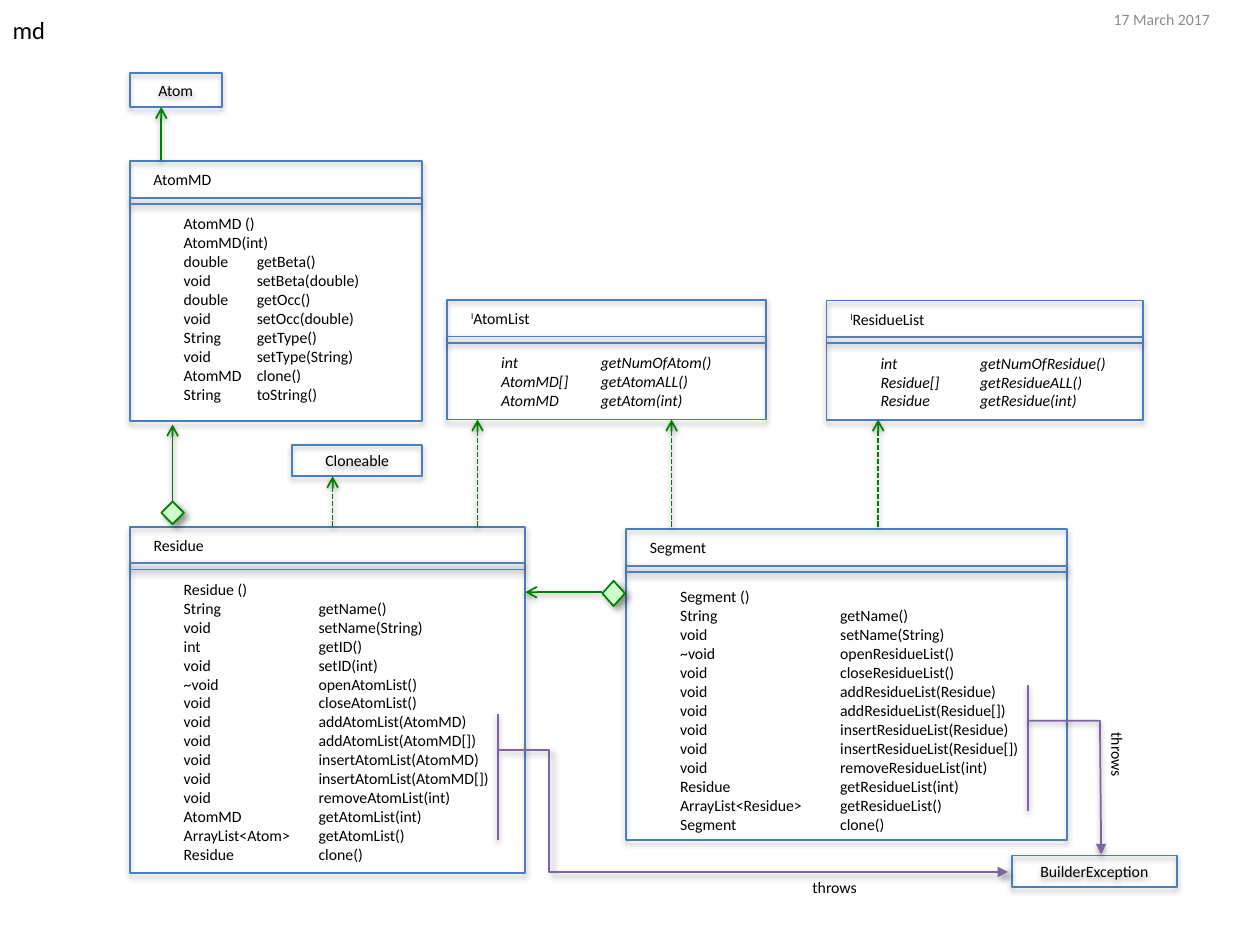
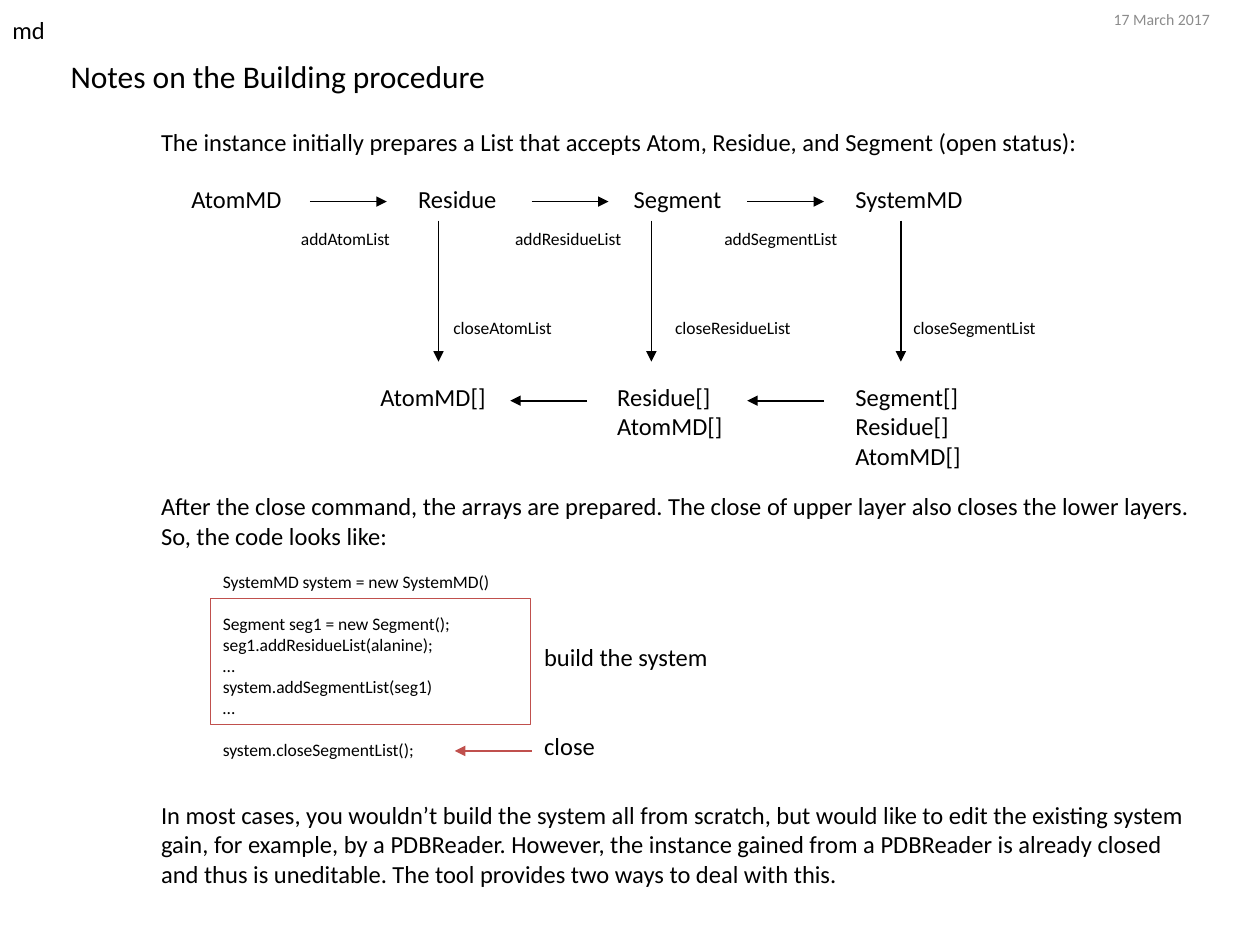
from lxml import etree
from pptx import Presentation
from pptx.dml.color import RGBColor
from pptx.enum.dml import MSO_LINE
from pptx.enum.shapes import MSO_CONNECTOR, MSO_SHAPE
from pptx.enum.text import MSO_ANCHOR, MSO_AUTO_SIZE, PP_ALIGN
from pptx.oxml.ns import qn
from pptx.util import Inches, Pt

RECT, DIAMOND = MSO_SHAPE.RECTANGLE, MSO_SHAPE.DIAMOND
STRAIGHT = MSO_CONNECTOR.STRAIGHT
DASH = MSO_LINE.SQUARE_DOT
TOP, MIDDLE = MSO_ANCHOR.TOP, MSO_ANCHOR.MIDDLE
LEFT, CENTER = PP_ALIGN.LEFT, PP_ALIGN.CENTER
FIXED = MSO_AUTO_SIZE.NONE

COLORS = {
    "text": "000000", "date": "8C8C8C", "frame": "4B7EBC", "rule": "4F81BD",
    "green": "008000", "mint": "CCFFCC", "violet": "8064A2", "red": "C0504D",
}
FONT = "Calibri"
# Opacity in percent, blur and distance in points, angle in degrees
SHADOWS = {
    "box": (35, 3.15, 1.8, 90),
    "line": (38, 3.15, 1.6, 90),
    "deep": (43, 4, 3, 45),
}


# Shared drawing tools
def color(name):
    return RGBColor.from_string(COLORS[name])


def shade(shape, kind=None):
    """Give the shape its own effect list, with a shadow if a kind is named."""
    props = shape.element.spPr
    for old in props.findall(qn("a:effectLst")):
        props.remove(old)
    effects = etree.SubElement(props, qn("a:effectLst"))
    if kind:
        alpha, blur, dist, angle = SHADOWS[kind]
        outer = etree.SubElement(
            effects, qn("a:outerShdw"), blurRad=str(Pt(blur)), dist=str(Pt(dist)),
            dir=str(angle * 60000), rotWithShape="0")
        black = etree.SubElement(outer, qn("a:srgbClr"), val="000000")
        etree.SubElement(black, qn("a:alpha"), val=str(alpha * 1000))


def stroke(shape, hue, width=1, dash=False, head=None):
    shape.line.color.rgb = color(hue)
    shape.line.width = Pt(width)
    if dash:
        shape.line.dash_style = DASH
    if head:
        line = shape.element.spPr.find(qn("a:ln"))
        etree.SubElement(line, qn("a:tailEnd"), type=head)


def style(frame, size, hue="text", italic=False):
    for para in frame.paragraphs:
        for run in para.runs:
            run.font.name = FONT
            run.font.size = Pt(size)
            run.font.italic = italic
            run.font.color.rgb = color(hue)


def place(shape, box):
    shape.left, shape.top, shape.width, shape.height = map(Inches, box)


def label(slide, text, box, size=14, hue="text", wrap=False, italic=False):
    shape = slide.shapes.add_textbox(*map(Inches, box))
    frame = shape.text_frame
    frame.word_wrap = wrap
    frame.text = text
    style(frame, size, hue, italic)
    return shape


def line(slide, start, end, hue, head=None, dash=False, shadow="line"):
    shape = slide.shapes.add_connector(STRAIGHT, *map(Inches, (*start, *end)))
    stroke(shape, hue, 1, dash, head)
    shade(shape, shadow)


def block(slide, kind, box, hue, fill=None, width=1, shadow="box"):
    shape = slide.shapes.add_shape(kind, *map(Inches, box))
    if fill:
        shape.fill.solid()
        shape.fill.fore_color.rgb = color(fill)
    else:
        shape.fill.background()
    stroke(shape, hue, width)
    shade(shape, shadow)
    return shape


def title(slide, text, box, size):
    shape = slide.shapes.title
    place(shape, box)
    frame = shape.text_frame
    frame.text = text
    frame.word_wrap = False
    frame.auto_size = FIXED
    frame.vertical_anchor = TOP
    frame.paragraphs[0].alignment = LEFT
    style(frame, size)


def date(slide):
    shape = label(slide, "17 March 2017", (8.74, 0.01, 1.26, 0.29), 9, "date", True)
    shape.text_frame.vertical_anchor = MIDDLE


# Class diagram parts
def node(slide, text, box):
    """Box with a centred name only."""
    frame = block(slide, RECT, box, "frame").text_frame
    frame.text = text
    frame.vertical_anchor = MIDDLE
    frame.paragraphs[0].alignment = CENTER
    style(frame, 9)


def entity(slide, box, name, width, rows, tab, gap=0.37, face=False):
    """Class box: name, double rule, members; face marks an interface."""
    x, y, w, h = box
    block(slide, RECT, box, "frame")
    for dy in (0.29, 0.34):
        line(slide, (x, y + dy), (x + w, y + dy), "rule")
    head = label(slide, "I" if face else name, (x + 0.09, y + 0.02, width, 0.25), 9)
    if face:
        frame = head.text_frame
        para = frame.paragraphs[0]
        para.runs[0].font.element.set("baseline", "30000") if hasattr(
            para.runs[0].font, "element") else para.runs[0]._r.get_or_add_rPr().set(
            "baseline", "30000")
        para.add_run().text = name
        style(frame, 9)
    text = "\n".join(rows)
    body = label(slide, text, (x + 0.33, y + gap, w - 0.33, 0.1 + 0.15 * len(rows)),
                 9, wrap=True, italic=face)
    for para in body.text_frame.paragraphs:
        tabs = etree.SubElement(para._p.get_or_add_pPr(), qn("a:tabLst"))
        etree.SubElement(tabs, qn("a:tab"), pos=str(Inches(tab)), algn="l")


def throws(slide, x, y, route, spot, shadow, turn=0):
    """Bracket beside the methods and a bent arrow that leaves it."""
    line(slide, (x, y), (x, y + 1), "violet")
    points = [(Inches(x + dx), Inches(y + dy)) for dx, dy in route]
    maker = slide.shapes.build_freeform(Inches(x), Inches(y + 0.28))
    maker.add_line_segments(points, close=False)
    path = maker.convert_to_shape()
    path.fill.background()
    stroke(path, "violet", head="triangle")
    shade(path, shadow)
    note = label(slide, "throws", (x + spot[0], y + spot[1], 0.56, 0.25), 9)
    note.rotation = turn


def classes(slide):
    atom, clone = (1.03, 0.58, 0.73, 0.27), (2.32, 3.53, 1.03, 0.25)
    atommd, residue = (1.03, 1.28, 2.32, 2.06), (1.03, 4.18, 3.14, 2.75)
    atoms, parts = (3.55, 2.38, 2.53, 0.95), (6.56, 2.385, 2.51, 0.95)
    segment = (4.97, 4.2, 3.5, 2.47)

    # Classes
    entity(slide, residue, "Residue", 0.61, [
        "Residue ()", "String\tgetName()", "void\tsetName(String)", "int\tgetID()",
        "void\tsetID(int)", "~void\topenAtomList()", "void\tcloseAtomList()",
        "void\taddAtomList(AtomMD)", "void\taddAtomList(AtomMD[])",
        "void\tinsertAtomList(AtomMD)", "void\tinsertAtomList(AtomMD[])",
        "void\tremoveAtomList(int)", "AtomMD \tgetAtomList(int)",
        "ArrayList<Atom> \tgetAtomList()", "Residue\tclone()"], 1.07)
    entity(slide, atommd, "AtomMD", 0.67, [
        "AtomMD ()", "AtomMD(int)", "double\tgetBeta()", "void\tsetBeta(double)",
        "double\tgetOcc()", "void\tsetOcc(double)", "String\tgetType()",
        "void\tsetType(String)", "AtomMD\tclone()", "String\ttoString()"], 0.58)
    entity(slide, segment, "Segment", 0.65, [
        "Segment ()", "String\tgetName()", "void\tsetName(String)",
        "~void\topenResidueList()", "void\tcloseResidueList()",
        "void\taddResidueList(Residue)", "void\taddResidueList(Residue[])",
        "void\tinsertResidueList(Residue)", "void\tinsertResidueList(Residue[])",
        "void\tremoveResidueList(int)", "Residue\tgetResidueList(int)",
        "ArrayList<Residue>\tgetResidueList()", "Segment\tclone()"], 1.27, 0.41)

    # Interfaces
    entity(slide, atoms, "AtomList", 0.69, [
        "int\tgetNumOfAtom()", "AtomMD[]\tgetAtomALL()",
        "AtomMD\tgetAtom(int)"], 0.79, face=True)
    entity(slide, parts, "ResidueList", 0.81, [
        "int\tgetNumOfResidue()", "Residue[]\tgetResidueALL()",
        "Residue\tgetResidue(int)"], 0.79, face=True)

    # Outside classes
    node(slide, "Atom", atom)
    node(slide, "Cloneable", clone)
    node(slide, "BuilderException", (8.03, 6.79, 1.31, 0.25))

    # Inheritance: solid for classes, dashed for interfaces
    line(slide, (1.28, 1.27), (1.28, 0.85), "green", "arrow")
    for x, top in ((2.64, 3.78), (3.79, 3.33), (5.33, 3.33), (6.97, 3.33)):
        line(slide, (x, residue[1]), (x, top), "green", "arrow", dash=True)

    # Aggregation
    line(slide, (1.37, 3.98), (1.37, 3.37), "green", "arrow")
    line(slide, (4.78, 4.7), (4.17, 4.7), "green", "arrow")
    for box in ((1.28, 3.98, 0.18, 0.18), (4.78, 4.61, 0.18, 0.2)):
        block(slide, DIAMOND, box, "green", "mint", shadow="deep")

    # Exceptions
    throws(slide, 3.95, 5.67, [(0.41, 0.28), (0.41, 1.25), (4.05, 1.25)],
           (2.4, 1.25), "deep")
    throws(slide, 8.16, 5.44, [(0.57, 0.28), (0.58, 1.34)], (0.43, 0.43), "line", 90)


# Building notes parts
def flow(slide, x, y):
    """Upper chain of classes, lower chain of arrays, arrows between."""
    def arrow(start, end):
        line(slide, start, end, "text", "triangle", shadow=None)

    for dx, text, w in ((0, "AtomMD", 0.93), (1.8, "Residue", 0.83),
                        (3.51, "Segment", 0.91), (5.27, "SystemMD", 1.07)):
        label(slide, text, (x + dx, y, w, 0.34))
    for dx, text, left, w in ((1.04, "addAtomList", 0.87, 0.92),
                              (2.8, "addResidueList", 2.57, 1.06),
                              (4.51, "addSegmentList", 4.23, 1.11)):
        arrow((x + dx, y + 0.19), (x + dx + 0.61, y + 0.19))
        label(slide, text, (x + left, y + 0.35, w, 0.27), 10)
    for dx, text, left, w in ((2.06, "closeAtomList", 2.08, 1),
                              (3.75, "closeResidueList", 3.84, 1.14),
                              (5.73, "closeSegmentList", 5.73, 1.19)):
        arrow((x + dx, y + 0.34), (x + dx, y + 1.46))
        label(slide, text, (x + left, y + 1.06, w, 0.27), 10)
    names = ["Segment[]", "Residue[]", "AtomMD[]"]
    for i, dx in enumerate((5.27, 3.38, 1.5)):
        label(slide, "\n".join(names[i:]),
              (x + dx, y + 1.57, 1.05, 0.81 - 0.235 * i))
    for dx in (5.12, 3.24):
        arrow((x + dx, y + 1.77), (x + dx - 0.61, y + 1.77))


def code(slide, x, y):
    """Sample code with the building part framed."""
    rows = ["SystemMD system = new SystemMD()", "Segment seg1 = new Segment();",
            "seg1.addResidueList(alanine);", "…", "system.addSegmentList(seg1)",
            "…", "system.closeSegmentList();"]
    shape = label(slide, "\n".join(rows), (x, y, 2.36, 1.62), 10)
    for i in (1, 6):
        shape.text_frame.paragraphs[i].space_before = Pt(12)
    block(slide, RECT, (x, y + 0.27, 2.54, 1), "red", width=0.75, shadow=None)
    label(slide, "build the system", (x + 2.55, y + 0.57, 1.52, 0.34))
    label(slide, "close", (x + 2.55, y + 1.27, 0.61, 0.34))
    line(slide, (x + 2.55, y + 1.48), (x + 1.94, y + 1.48), "red", "triangle",
         shadow=None)


def notes(slide):
    label(slide, "The instance initially prepares a List that accepts Atom, Residue, "
          "and Segment (open status):", (1.18, 0.96, 7.6, 0.34))
    flow(slide, 1.42, 1.41)
    label(slide, "After the close command, the arrays are prepared. The close of upper "
          "layer also closes the lower layers. So, the code looks like:",
          (1.18, 3.85, 8.44, 0.57), wrap=True)
    code(slide, 1.67, 4.48)
    label(slide, "In most cases, you wouldn’t build the system all from scratch, but "
          "would like to edit the existing system gain, for example, by a PDBReader. "
          "However, the instance gained from a PDBReader is already closed and thus is "
          "uneditable. The tool provides two ways to deal with this.",
          (1.18, 6.3, 8.44, 0.81), wrap=True)


# Slides
deck = Presentation()
deck.slide_width, deck.slide_height = Inches(10), Inches(7.5)
layout = deck.slide_layouts.get_by_name("Title Only")
TAG = ("md", (0, 0.07, 0.46, 0.34), 14)

first = deck.slides.add_slide(layout)
title(first, *TAG)
date(first)
classes(first)

second = deck.slides.add_slide(layout)
title(second, "Notes on the Building procedure", (0.46, 0.4, 3.6, 0.4), 18)
label(second, *TAG)
date(second)
notes(second)

deck.save("out.pptx")
